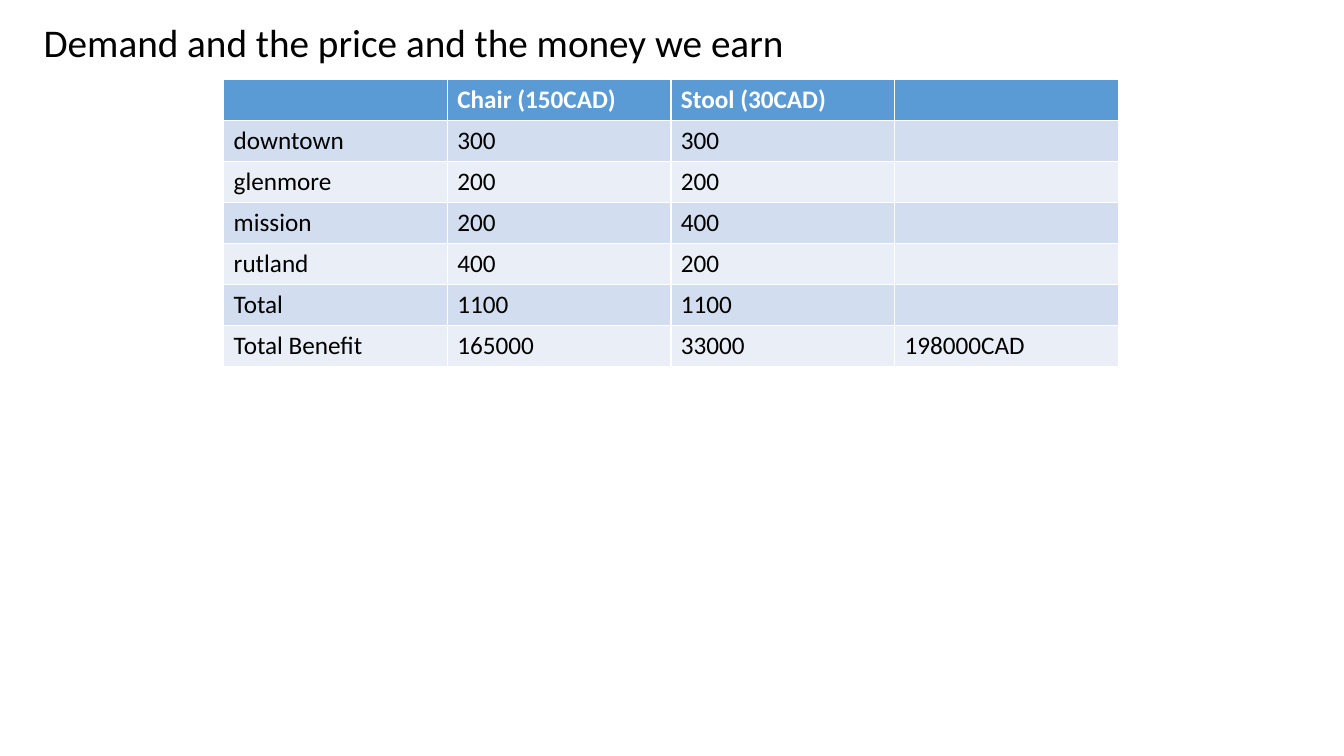
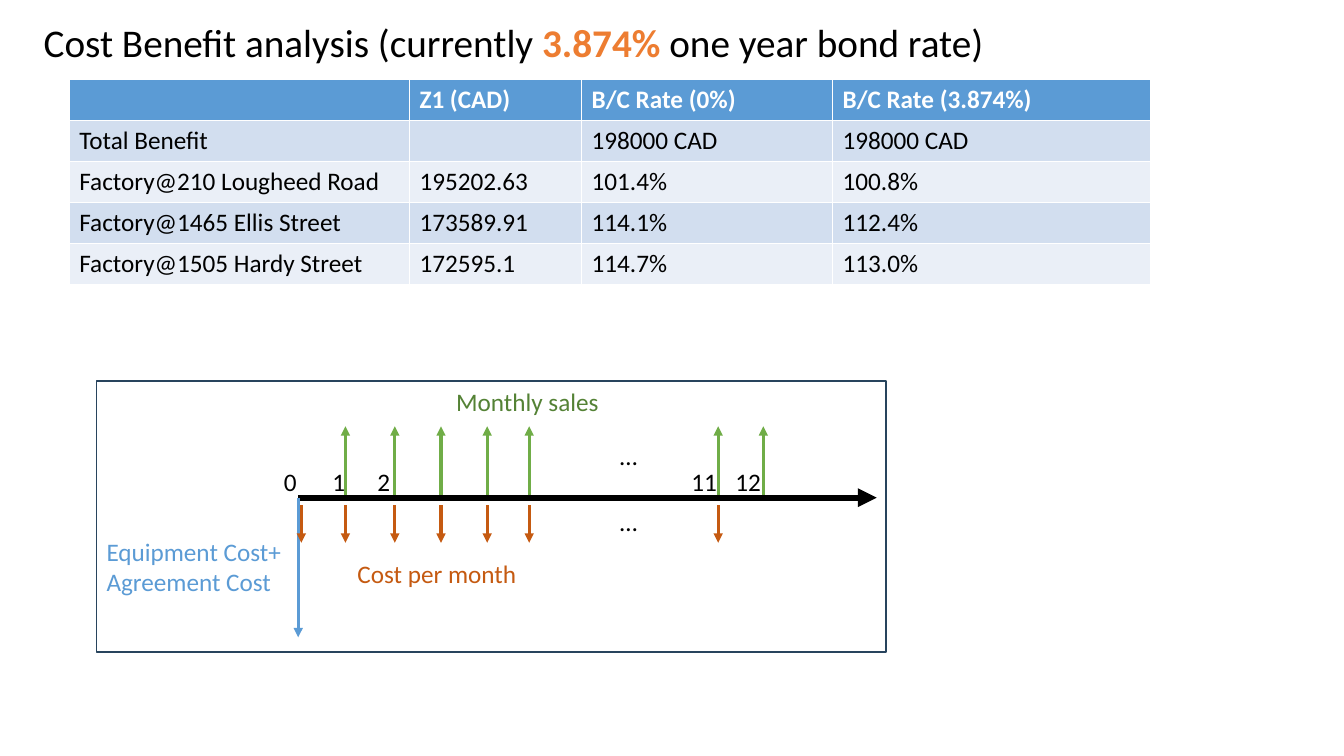
"""Build two slides on demand, earnings and the cost benefit analysis."""
import lxml.etree
import pptx
import pptx.dml.color
import pptx.enum.shapes
import pptx.enum.text
import pptx.oxml.ns
import pptx.util

PX = 9525
BLACK, WHITE = "000000", "FFFFFF"
BLUE, ORANGE, GREEN, RUST = "5B9BD5", "ED7D31", "70AD47", "C55A11"
DARK_GREEN, FRAME_LINE = "548235", "28445D"
BANDS = ["EAEFF7", "D2DEEF"]
ROW_HEIGHT = 39


def rgb(color):
    """Turn a hex string into a colour."""
    return pptx.dml.color.RGBColor.from_string(color)


def format_run(run, color, size=18, bold=False):
    """Give a run its font."""
    values = {"name": "Calibri", "size": pptx.util.Pt(size), "bold": bold}
    for name, value in values.items():
        setattr(run.font, name, value)
    run.font.color.rgb = rgb(color)


pages = [
    {
        "title": [("Demand and the price and the money we earn", BLACK, False)],
        "left": 213,
        "columns": [213, 213, 213, 213],
        "rows": [
            ["", "Chair (150CAD)", "Stool (30CAD)", ""],
            ["downtown", "300", "300", ""],
            ["glenmore", "200", "200", ""],
            ["mission", "200", "400", ""],
            ["rutland", "400", "200", ""],
            ["Total", "1100", "1100", ""],
            ["Total Benefit", "165000", "33000", "198000CAD"],
        ],
    },
    {
        "title": [
            ("Cost Benefit analysis (currently ", BLACK, False),
            ("3.874%", ORANGE, True),
            (" one year bond rate)", BLACK, False),
        ],
        "left": 66,
        "columns": [324, 164, 239, 303],
        "rows": [
            ["", "Z1 (CAD)", "B/C Rate (0%)", "B/C Rate (3.874%)"],
            ["Total Benefit", "", "198000 CAD", "198000 CAD"],
            ["Factory@210 Lougheed Road", "195202.63", "101.4%", "100.8%"],
            ["Factory@1465 Ellis Street", "173589.91", "114.1%", "112.4%"],
            ["Factory@1505 Hardy Street", "172595.1", "114.7%", "113.0%"],
        ],
    },
]

presentation = pptx.Presentation()
presentation.slide_width = 1280 * PX
presentation.slide_height = 720 * PX

for page in pages:
    slide = presentation.slides.add_slide(presentation.slide_layouts[5])
    title = slide.shapes.title
    place = {"left": 32, "top": 13, "width": 1216, "height": 55}
    for name, value in place.items():
        setattr(title, name, value * PX)
    frame_format = {
        "vertical_anchor": pptx.enum.text.MSO_ANCHOR.TOP,
        "auto_size": pptx.enum.text.MSO_AUTO_SIZE.NONE,
        "word_wrap": True,
    }
    for name, value in frame_format.items():
        setattr(title.text_frame, name, value)
    paragraph = title.text_frame.paragraphs[0]
    paragraph.alignment = pptx.enum.text.PP_ALIGN.LEFT
    for text, color, bold in page["title"]:
        run = paragraph.add_run()
        run.text = text
        format_run(run, color, 28, bold)

    rows, columns = page["rows"], page["columns"]
    table = slide.shapes.add_table(
        len(rows), len(columns), page["left"] * PX, 76 * PX,
        sum(columns) * PX, len(rows) * ROW_HEIGHT * PX).table
    for column, width in zip(table.columns, columns):
        column.width = width * PX
    for row_index, row in enumerate(rows):
        header = row_index == 0
        for column_index, text in enumerate(row):
            cell = table.cell(row_index, column_index)
            cell.fill.solid()
            cell.fill.fore_color.rgb = rgb(BLUE if header else BANDS[row_index % 2])
            if text:
                run = cell.text_frame.paragraphs[0].add_run()
                run.text = text
                format_run(run, WHITE if header else BLACK, bold=header)

frame = slide.shapes.add_shape(
    pptx.enum.shapes.MSO_SHAPE.RECTANGLE, 92 * PX, 363 * PX, 752 * PX, 258 * PX)
frame.shadow.inherit = False
frame.fill.solid()
frame.fill.fore_color.rgb = rgb(WHITE)
frame.line.color.rgb = rgb(FRAME_LINE)
frame.line.width = pptx.util.Pt(1)

months = [287, 329, 376, 420, 464, 504, 684, 727]
arrows = [(284, 474, 835, 474, BLACK, 4.5), (284, 474, 284, 607, BLUE, 2.25)]
arrows += [(x, 471, x, 406, GREEN, 2.25) for x in months[1:]]
arrows += [(x, 481, x, 517, RUST, 2.25) for x in months[:-1]]
for *ends, color, width in arrows:
    arrow = slide.shapes.add_connector(
        pptx.enum.shapes.MSO_CONNECTOR.STRAIGHT, *[end * PX for end in ends])
    arrow.line.color.rgb = rgb(color)
    arrow.line.width = pptx.util.Pt(width)
    properties = arrow.element.spPr
    outline = properties.find(pptx.oxml.ns.qn("a:ln"))
    lxml.etree.SubElement(outline, pptx.oxml.ns.qn("a:tailEnd"), type="triangle")
    lxml.etree.SubElement(properties, pptx.oxml.ns.qn("a:effectLst"))

labels = [
    ("Equipment Cost+\vAgreement Cost", 92, 506, 194, 68, BLUE),
    ("Cost per month", 331, 527, 173, 38, RUST),
    ("Monthly sales", 425, 363, 156, 38, DARK_GREEN),
    ("…", 581, 415, 36, 38, BLACK),
    ("…", 581, 477, 36, 38, BLACK),
]
month_labels = [("0", 261, 32), ("1", 307, 32), ("2", 350, 32), ("11", 649, 44), ("12", 691, 44)]
labels += [(text, left, 439, width, 38, BLACK) for text, left, width in month_labels]
for text, *box, color in labels:
    label = slide.shapes.add_textbox(*[length * PX for length in box])
    label.text_frame.word_wrap = False
    label.text_frame.text = text
    for run in label.text_frame.paragraphs[0].runs:
        format_run(run, color)

presentation.save("out.pptx")
